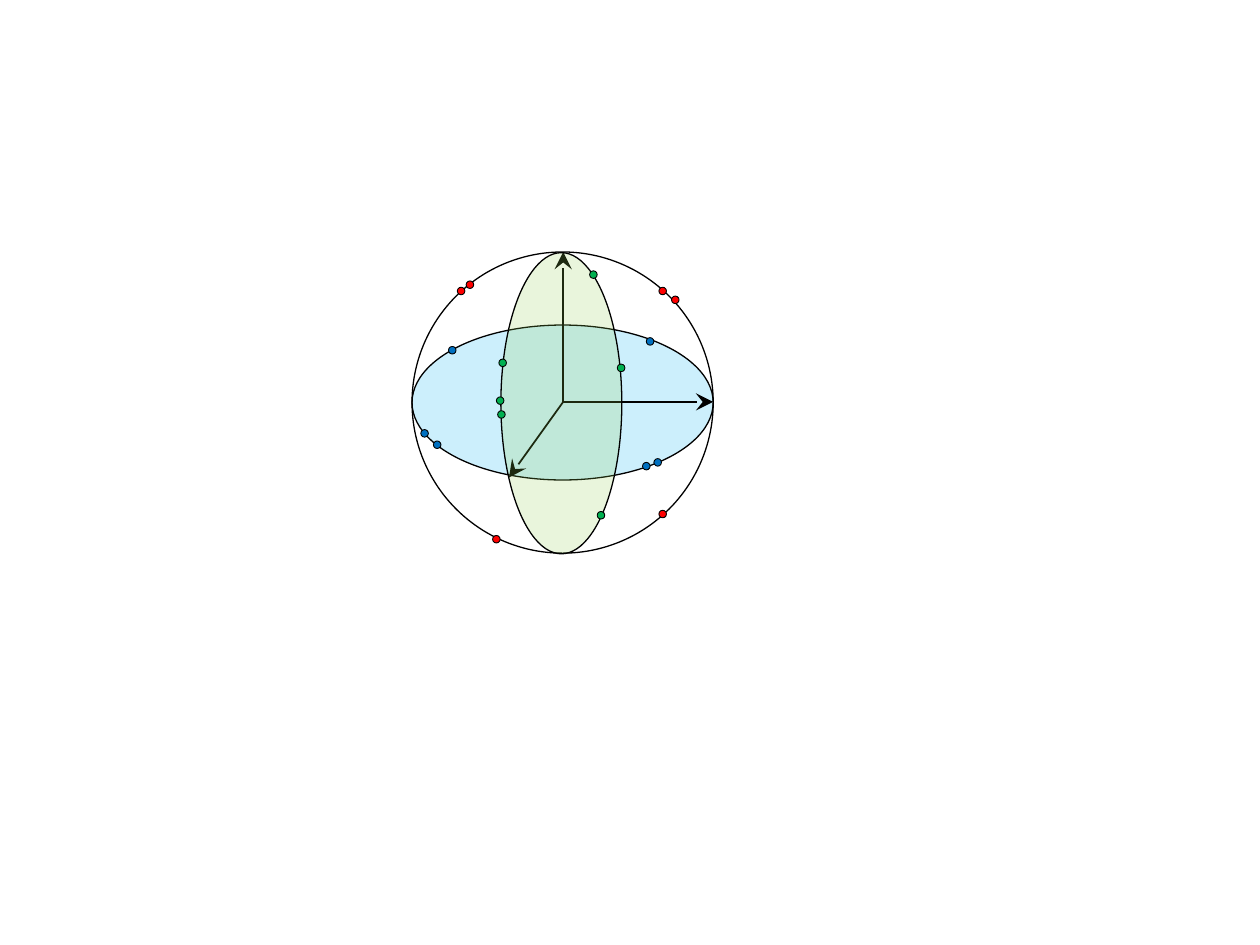
from lxml.etree import SubElement
from pptx import Presentation
from pptx.dml.color import RGBColor
from pptx.enum.shapes import MSO_CONNECTOR, MSO_SHAPE
from pptx.oxml.ns import qn
from pptx.util import Inches, Pt

BLACK = RGBColor(0, 0, 0)
RED = RGBColor(0xFF, 0, 0)
BLUE = RGBColor(0, 0x70, 0xC0)
GREEN = RGBColor(0, 0xB0, 0x50)
SKY = RGBColor(0, 0xB0, 0xF0)
LIME = RGBColor(0x92, 0xD0, 0x50)

SIZE = 2.39
DOT = 0.06
HUB = (4.47, 3.19)
TIPS = [(5.66, 3.19), (4.47, 2), (4.04, 3.79)]
DOTS = {
    GREEN: [(3.96, 2.85), (3.94, 3.15), (4.9, 2.89), (4.68, 2.15), (4.74, 4.06), (3.95, 3.26)],
    BLUE: [(5.19, 3.64), (3.56, 2.75), (3.34, 3.41), (3.44, 3.5), (5.1, 3.67), (5.13, 2.68)],
    RED: [(5.23, 2.28), (3.7, 2.23), (5.23, 4.05), (3.91, 4.25), (3.63, 2.28), (5.33, 2.35)],
}


class Sketch:
    """Draws ellipses and arrows in one style on the current slide."""

    def __init__(self, slide):
        self.shapes = slide.shapes
        self.ink = BLACK

    def oval(self, left, top, width, height, fill=None, alpha=None, line=0.75, turn=0):
        box = [Inches(v) for v in (left, top, width, height)]
        oval = self.shapes.add_shape(MSO_SHAPE.OVAL, *box)
        oval.shadow.inherit = False
        oval.rotation = turn
        oval.line.color.rgb = self.ink
        oval.line.width = Pt(line)
        if fill is None:
            oval.fill.background()
        else:
            oval.fill.solid()
            oval.fill.fore_color.rgb = fill
        if alpha is not None:
            color = oval.fill._xPr.find(qn("a:solidFill"))[0]
            SubElement(color, qn("a:alpha"), val=str(alpha * 1000))

    def arrow(self, start, end):
        ends = [Inches(v) for v in (*start, *end)]
        arrow = self.shapes.add_connector(MSO_CONNECTOR.STRAIGHT, *ends)
        arrow.line.color.rgb = self.ink
        arrow.line.width = Pt(1)
        SubElement(arrow.line._get_or_add_ln(), qn("a:tailEnd"), type="stealth", w="lg", len="lg")
        SubElement(arrow._element.spPr, qn("a:effectLst"))

    def dot(self, left, top, fill):
        self.oval(left, top, DOT, DOT, fill, line=0.5)


def main():
    deck = Presentation()
    deck.slide_width, deck.slide_height = Inches(10), Inches(7.5)
    sketch = Sketch(deck.slides.add_slide(deck.slide_layouts[6]))
    sketch.oval(3.27, 2.58, SIZE, 1.23, SKY, alpha=20)
    for tip in TIPS:
        sketch.arrow(HUB, tip)
    sketch.oval(3.27, 2, SIZE, SIZE)
    sketch.oval(3.26, 2.72, SIZE, 0.96, LIME, alpha=20, turn=90)
    for fill, spots in DOTS.items():
        for left, top in spots:
            sketch.dot(left, top, fill)
    deck.save("out.pptx")


if __name__ == "__main__":
    main()
